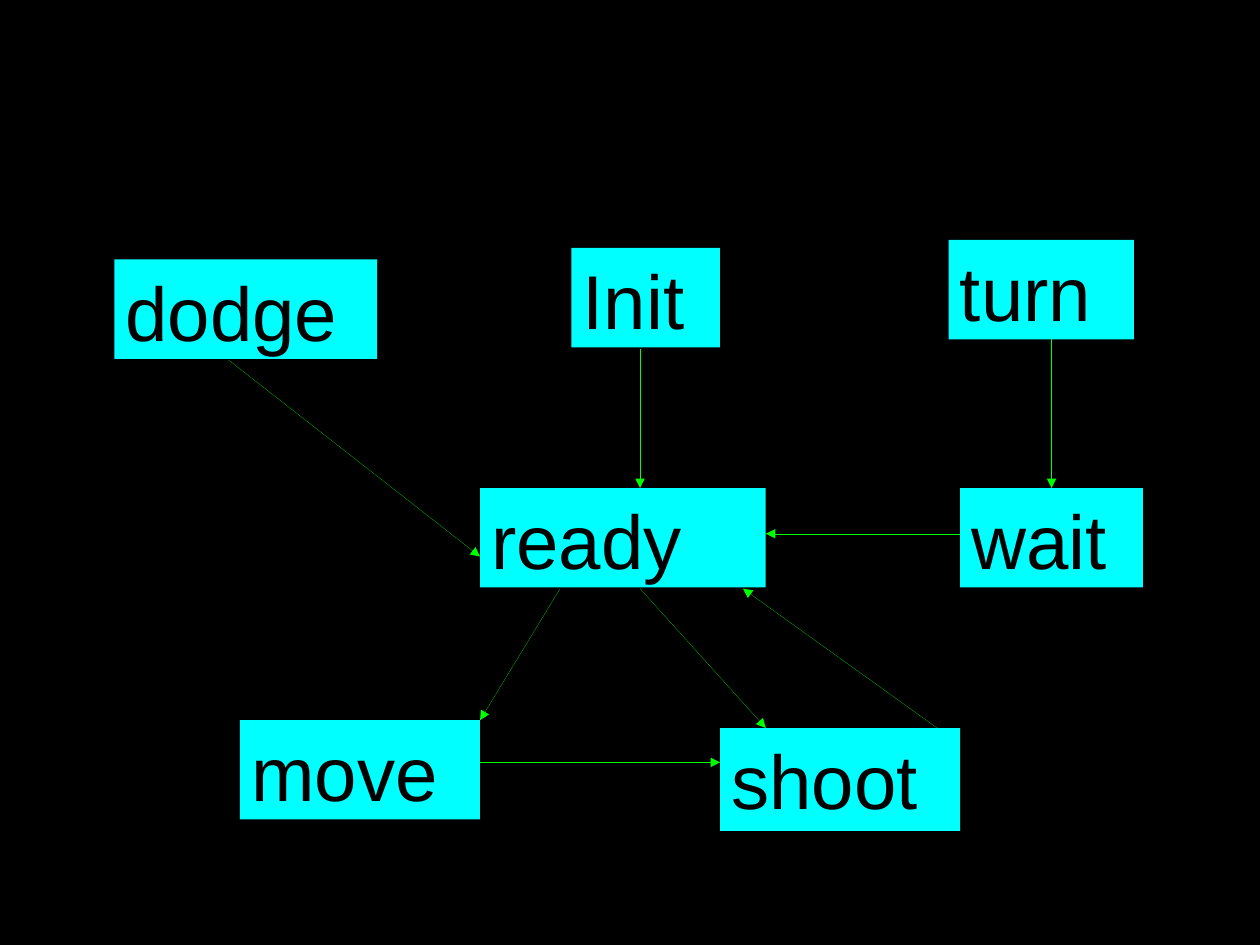
from pptx import Presentation
from pptx.dml.color import RGBColor
from pptx.enum.shapes import MSO_CONNECTOR as Connector, MSO_SHAPE as Shape
from pptx.enum.text import MSO_ANCHOR as Anchor, MSO_AUTO_SIZE as AutoSize, PP_ALIGN as Align
from pptx.oxml.ns import qn
from pptx.util import Inches, Pt
from lxml.etree import SubElement

COLORS = {"background": "000000", "state": "00FFFF", "text": "000000", "arrow": "00FF00"}
CM_PER_INCH = 2.54
BOX_HEIGHT = 0.87

STATES = [
    ("Init", 5, 2.17, 1.3, BOX_HEIGHT),
    ("ready", 4.2, 4.27, 2.5, BOX_HEIGHT),
    ("move", 2.1, 6.3, 2.1, BOX_HEIGHT),
    ("shoot", 6.3, 6.37, 2.1, 0.9),
    ("dodge", 1, 2.27, 2.3, BOX_HEIGHT),
    ("turn", 8.3, 2.1, 1.62, BOX_HEIGHT),
    ("wait", 8.4, 4.27, 1.6, BOX_HEIGHT),
]

TRANSITIONS = [
    ((5.6, 3.05), (5.6, 4.27)),
    ((4.9, 5.15), (4.2, 6.3)),
    ((5.6, 5.15), (6.7, 6.37)),
    ((4.2, 6.67), (6.3, 6.67)),
    ((9.2, 2.97), (9.2, 4.27)),
    ((8.4, 4.67), (6.7, 4.67)),
    ((2, 3.15), (4.2, 4.87)),
    ((8.2, 6.37), (6.5, 5.15)),
]


def color(name):
    """Return the named colour."""
    return RGBColor.from_string(COLORS[name])


def add_state(page, name, left, top, width, height):
    """Add a filled box that holds the name of a state."""
    box = page.shapes.add_shape(
        Shape.RECTANGLE, Inches(left), Inches(top), Inches(width), Inches(height))
    box.shadow.inherit = False
    box.fill.solid()
    box.fill.fore_color.rgb = color("state")
    box.line.fill.background()
    frame = box.text_frame
    frame.word_wrap = True
    frame.auto_size = AutoSize.SHAPE_TO_FIT_TEXT
    frame.vertical_anchor = Anchor.TOP
    para = frame.paragraphs[0]
    para.alignment = Align.LEFT
    span = para.add_run()
    span.text = name
    span.font.name = "Arial"
    span.font.size = Pt(48)
    span.font.color.rgb = color("text")


def add_transition(page, start, end):
    """Add a hairline arrow from start to end."""
    arrow = page.shapes.add_connector(
        Connector.STRAIGHT, *(Inches(length) for length in start + end))
    arrow.line.color.rgb = color("arrow")
    properties = arrow._element.spPr
    outline = properties.find(qn("a:ln"))
    outline.set("w", "0")
    SubElement(outline, qn("a:tailEnd"), type="triangle")
    SubElement(properties, qn("a:effectLst"))


def main():
    """Build the state diagram and save it."""
    deck = Presentation()
    deck.slide_width = Inches(28 / CM_PER_INCH)
    deck.slide_height = Inches(21 / CM_PER_INCH)
    page = deck.slides.add_slide(deck.slide_layouts[6])
    page.background.fill.solid()
    page.background.fill.fore_color.rgb = color("background")
    for state in STATES:
        add_state(page, *state)
    for start, end in TRANSITIONS:
        add_transition(page, start, end)
    deck.save("out.pptx")


if __name__ == "__main__":
    main()
